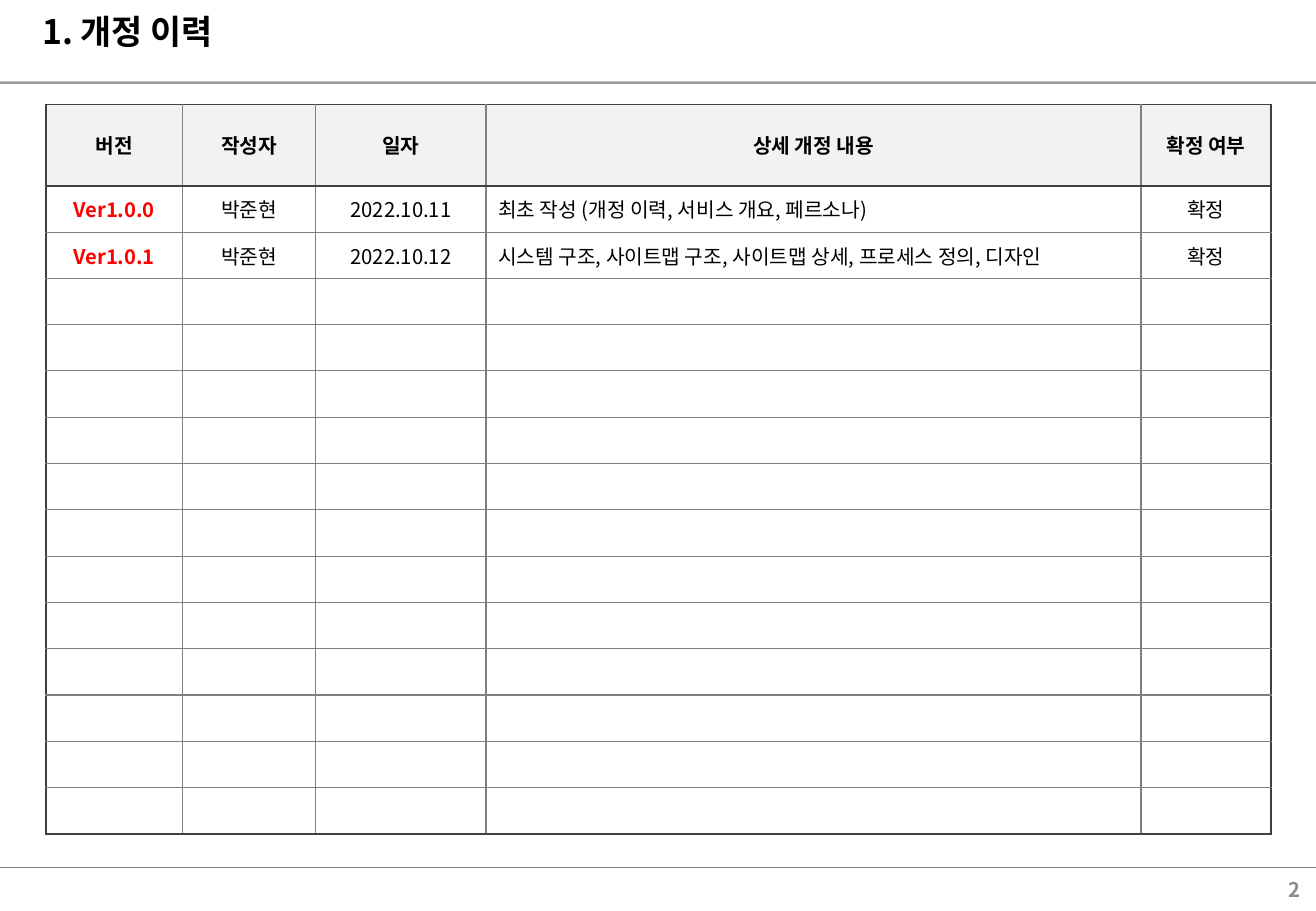
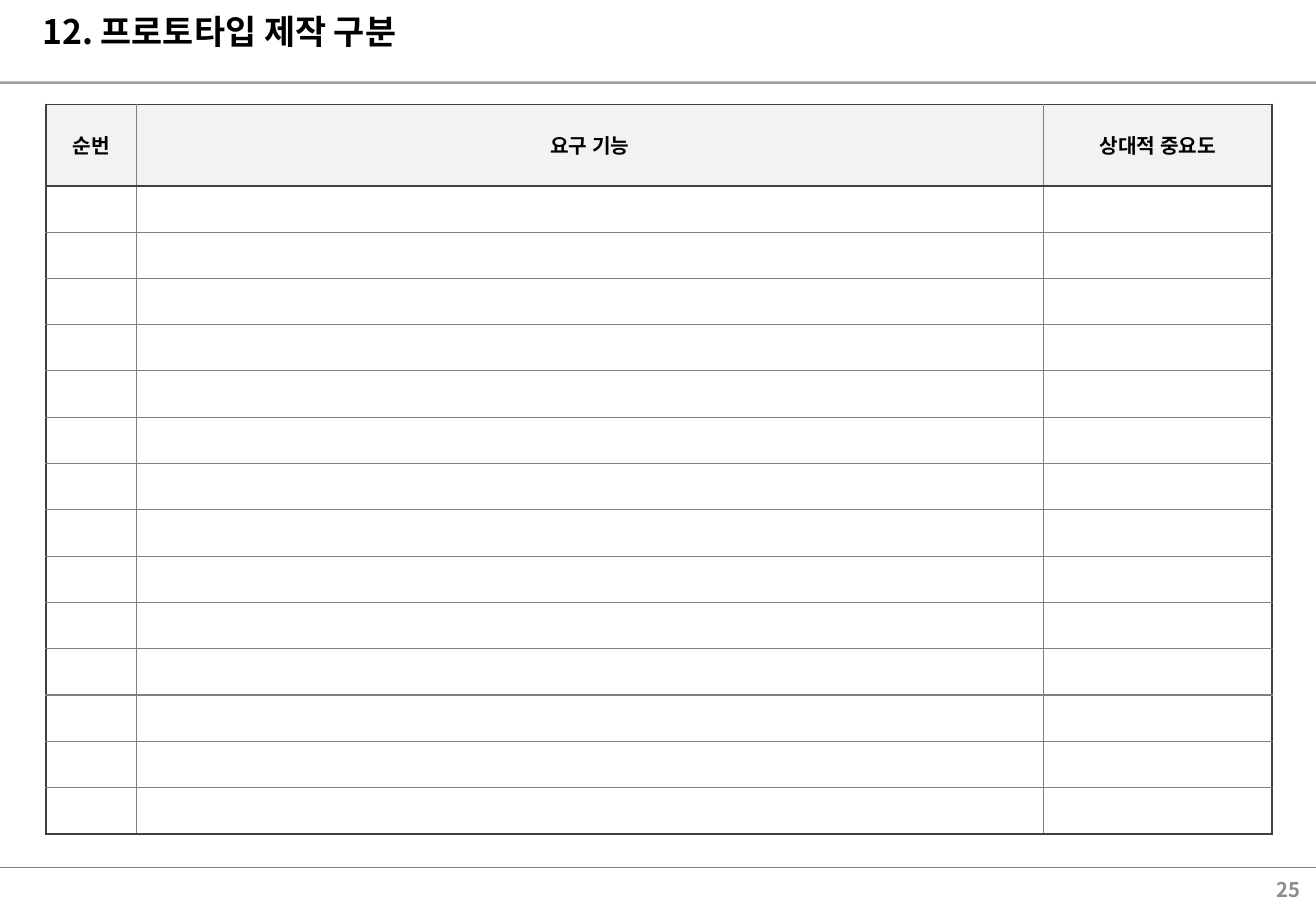
from pptx import Presentation
from pptx import util as u
from pptx.dml.color import RGBColor
from pptx.enum import shapes, text
from pptx.oxml.ns import qn
from lxml import etree

FONT = "Noto Sans CJK KR"
COLORS = {
    "black": "000000",
    "red": "FF0000",
    "header": "F2F2F2",
    "frame": "404040",
    "rule": "808080",
    "page": "8C8C8C",
}
WIDTH, HEIGHT = 10.83, 7.5
TABLE_LEFT, TABLE_TOP, TABLE_HEIGHT = 0.38, 0.86, 6.01
HEADER_HEIGHT = 0.67
BODY_ROWS = 14
TEXT_SIZE = 12
CENTER, LEFT, RIGHT = text.PP_ALIGN.CENTER, text.PP_ALIGN.LEFT, text.PP_ALIGN.RIGHT


def color(name):
    return RGBColor.from_string(COLORS[name])


# Text
def add_run(paragraph, words, size=TEXT_SIZE, color_name="black", bold=False):
    run = paragraph.add_run()
    run.text = words
    run.font.size = u.Pt(size)
    run.font.bold = bold
    run.font.color.rgb = color(color_name)
    run.font.name = FONT
    etree.SubElement(run.font._element, qn("a:ea"), typeface=FONT)


def add_text(slide, box, words, size, color_name, align, anchor, inset_y):
    shape = slide.shapes.add_textbox(*(u.Inches(value) for value in box))
    frame = shape.text_frame
    frame.word_wrap = True
    frame.vertical_anchor = anchor
    frame.margin_top = frame.margin_bottom = u.Inches(inset_y)
    paragraph = frame.paragraphs[0]
    paragraph.alignment = align
    add_run(paragraph, words, size, color_name, bold=True)


# Lines across the slide
def add_rule(slide, y, width, opacity=100):
    line = slide.shapes.add_connector(
        shapes.MSO_CONNECTOR.STRAIGHT, 0, u.Inches(y), u.Inches(WIDTH), u.Inches(y))
    line.line.color.rgb = color("rule")
    line.line.width = u.Pt(width)
    properties = line._element.spPr
    if opacity < 100:
        fill = properties.find(".//" + qn("a:srgbClr"))
        etree.SubElement(fill, qn("a:alpha"), val=str(opacity * 1000))
    etree.SubElement(properties, qn("a:effectLst"))


# Table
def set_borders(cell, framed_sides):
    properties = cell._tc.get_or_add_tcPr()
    for side in "LRTB":
        name, width = ("frame", 1) if side in framed_sides else ("rule", 0.75)
        line = etree.SubElement(properties, qn("a:ln" + side), w=str(u.Pt(width)))
        fill = etree.SubElement(line, qn("a:solidFill"))
        etree.SubElement(fill, qn("a:srgbClr"), val=COLORS[name])


def fill_cell(cell, words, is_header, align, color_name, bold):
    cell.vertical_anchor = text.MSO_ANCHOR.MIDDLE
    if is_header:
        cell.fill.solid()
        cell.fill.fore_color.rgb = color("header")
    else:
        cell.fill.background()
    paragraph = cell.text_frame.paragraphs[0]
    paragraph.alignment = align
    if words:
        add_run(paragraph, words, color_name=color_name, bold=bold)
    else:
        etree.SubElement(paragraph._p, qn("a:endParaRPr"), sz=str(TEXT_SIZE * 100))


def add_grid(slide, widths, headers, records=(), key_column=None, left_column=None):
    row_count, column_count = BODY_ROWS + 1, len(widths)
    table = slide.shapes.add_table(
        row_count, column_count, u.Inches(TABLE_LEFT), u.Inches(TABLE_TOP),
        u.Inches(sum(widths)), u.Inches(TABLE_HEIGHT)).table
    table.first_row = table.horz_banding = False
    for column, width in zip(table.columns, widths):
        column.width = u.Inches(width)
    body_height = (TABLE_HEIGHT - HEADER_HEIGHT) / BODY_ROWS
    lines = [headers, *records]
    for r, row in enumerate(table.rows):
        is_header = r == 0
        row.height = u.Inches(HEADER_HEIGHT if is_header else body_height)
        for c, cell in enumerate(row.cells):
            # The outer frame and the header's lower edge are darker
            framed = {"L": c == 0, "R": c == column_count - 1,
                      "T": r <= 1, "B": r in (0, row_count - 1)}
            set_borders(cell, [side for side, dark in framed.items() if dark])
            is_key = c == key_column and not is_header
            fill_cell(cell, lines[r][c] if r < len(lines) else "", is_header,
                      LEFT if c == left_column and not is_header else CENTER,
                      "red" if is_key else "black", is_header or is_key)


# Shared slide frame
def add_slide(presentation, title, page):
    slide = presentation.slides.add_slide(presentation.slide_layouts[6])
    add_rule(slide, 7.14, 0.75)
    add_rule(slide, 0.68, 1.5, opacity=76)
    add_text(slide, (0.25, 0.09, 10.43, 0.49), title, 20, "black",
             LEFT, text.MSO_ANCHOR.TOP, 0)
    add_text(slide, (8.36, 7.17, 2.44, 0.31), page, 12, "page",
             RIGHT, text.MSO_ANCHOR.MIDDLE, 0.05)
    return slide


def main():
    presentation = Presentation()
    presentation.slide_width = u.Inches(WIDTH)
    presentation.slide_height = u.Inches(HEIGHT)

    # Revision history
    slide = add_slide(presentation, "1. 개정 이력", "2")
    add_grid(
        slide, [1.12, 1.1, 1.4, 5.39, 1.07],
        ["버전", "작성자", "일자", "상세 개정 내용", "확정 여부"],
        [["Ver1.0.0", "박준현", "2022.10.11",
          "최초 작성 (개정 이력, 서비스 개요, 페르소나)", "확정"],
         ["Ver1.0.1", "박준현", "2022.10.12",
          "시스템 구조, 사이트맵 구조, 사이트맵 상세, 프로세스 정의, 디자인", "확정"]],
        key_column=0, left_column=3)

    # Prototype scope
    slide = add_slide(presentation, "12. 프로토타입 제작 구분", "25")
    add_grid(slide, [0.74, 7.47, 1.88], ["순번", "요구 기능", "상대적 중요도"])

    presentation.save("out.pptx")


if __name__ == "__main__":
    main()
